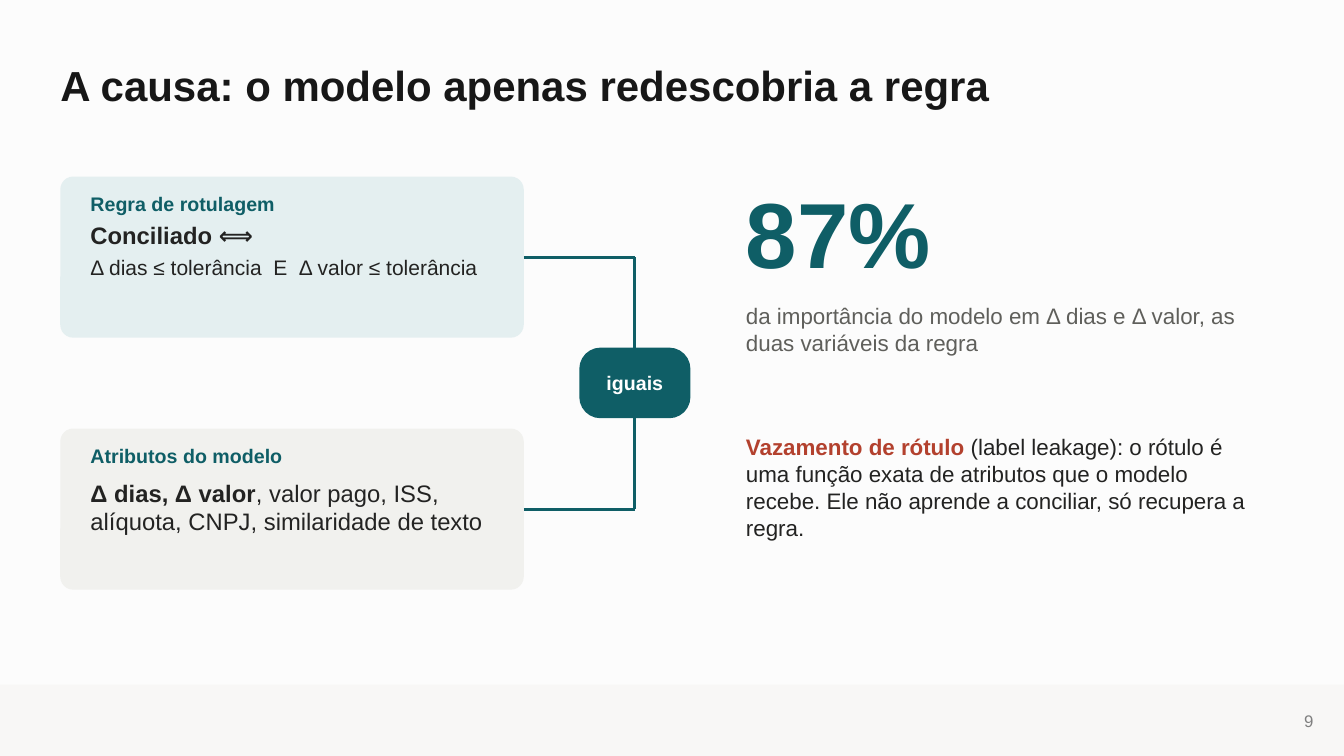
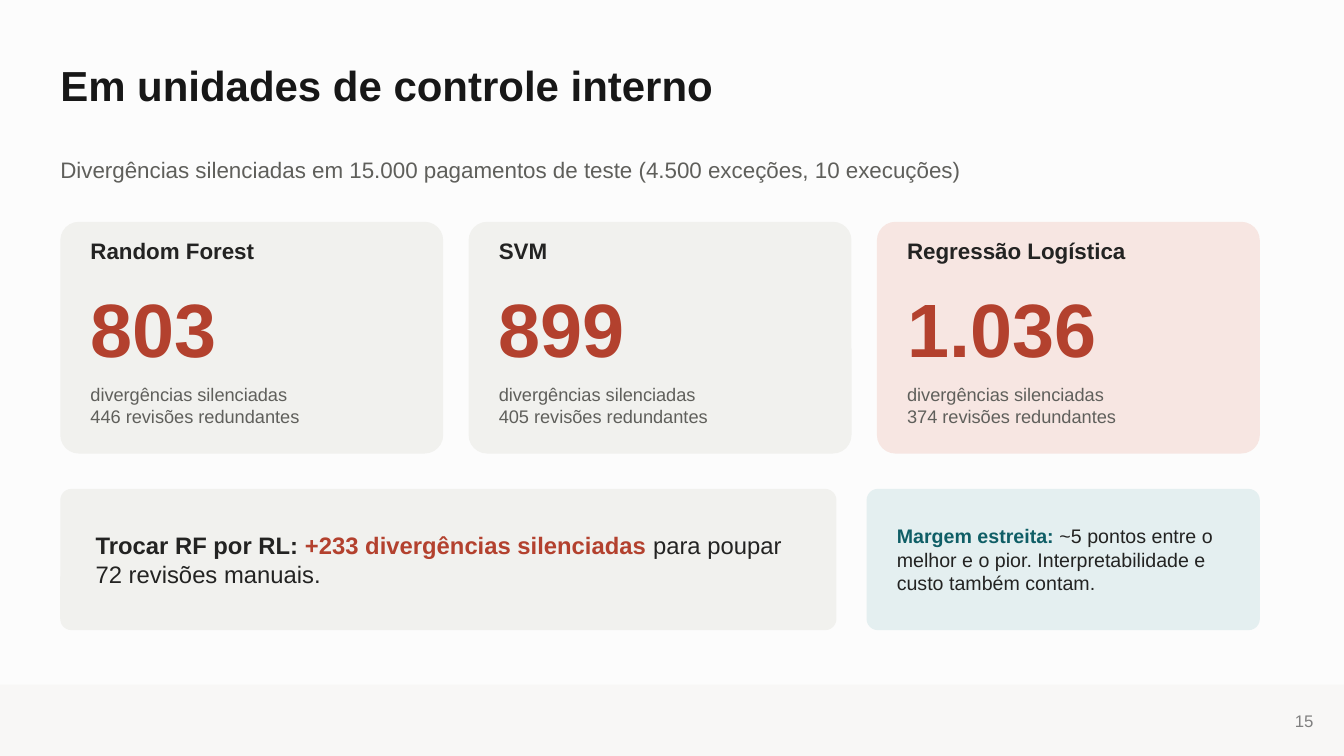
from dataclasses import dataclass

from lxml import etree
from pptx import Presentation
from pptx import util as u
from pptx.dml.color import RGBColor
from pptx.enum import shapes, text
from pptx.oxml.ns import qn

FONT = "Arial"
COLORS = {
    "background": "FCFCFC", "band": "F8F7F6", "title": "171717",
    "ink": "232322", "muted": "5F5F5B", "number": "808080",
    "teal": "0F5E66", "red": "B3412E", "white": "FFFFFF",
    "pale_teal": "E4EFF0", "pale_gray": "F1F1EE", "pale_red": "F7E6E2",
}
WIDTH, HEIGHT = 33.87, 19.05
MARGIN = 1.52
PAD_X, PAD_Y = 0.76, 0.38
TOP, MIDDLE = text.MSO_ANCHOR.TOP, text.MSO_ANCHOR.MIDDLE
LEFT, CENTER, RIGHT = text.PP_ALIGN.LEFT, text.PP_ALIGN.CENTER, text.PP_ALIGN.RIGHT


@dataclass(frozen=True)
class Box:
    """A rectangle in centimetres."""
    left: float
    top: float
    width: float
    height: float

    @property
    def right(self) -> float:
        return self.left + self.width

    @property
    def center_x(self) -> float:
        return self.left + self.width / 2

    @property
    def center_y(self) -> float:
        return self.top + self.height / 2

    def lengths(self) -> tuple:
        return tuple(u.Cm(v) for v in (self.left, self.top, self.width, self.height))


@dataclass(frozen=True)
class Span:
    text: str
    size: float
    color: str = "ink"
    bold: bool = False


@dataclass(frozen=True)
class ModelCard:
    name: str
    missed: str
    reviews: str
    fill: str


# Shared drawing functions
def rgb(name: str) -> RGBColor:
    return RGBColor.from_string(COLORS[name])


def style_run(run, span: Span) -> None:
    run.font.name = FONT
    run.font.size = u.Pt(span.size)
    run.font.bold = span.bold
    run.font.color.rgb = rgb(span.color)


def add_text(slide, box: Box, paragraphs: list[list[Span]], anchor=TOP,
             align=LEFT, space_after: float = 0) -> None:
    frame = slide.shapes.add_textbox(*box.lengths()).text_frame
    frame.word_wrap = True
    frame.vertical_anchor = anchor
    frame.margin_left = frame.margin_right = 0
    frame.margin_top = frame.margin_bottom = 0
    for index, spans in enumerate(paragraphs):
        para = frame.add_paragraph() if index else frame.paragraphs[0]
        para.alignment = align
        para.space_after = u.Pt(space_after)
        for span in spans:
            run = para.add_run()
            run.text = span.text
            style_run(run, span)


def add_panel(slide, box: Box, fill: str, radius: float = 0.08):
    kind = shapes.MSO_SHAPE.ROUNDED_RECTANGLE if radius else shapes.MSO_SHAPE.RECTANGLE
    panel = slide.shapes.add_shape(kind, *box.lengths())
    if radius:
        panel.adjustments[0] = radius
    panel.shadow.inherit = False
    panel.fill.solid()
    panel.fill.fore_color.rgb = rgb(fill)
    panel.line.fill.background()
    return panel


def add_line(slide, x1: float, y1: float, x2: float, y2: float) -> None:
    line = slide.shapes.add_connector(
        shapes.MSO_CONNECTOR.STRAIGHT, u.Cm(x1), u.Cm(y1), u.Cm(x2), u.Cm(y2))
    line.line.color.rgb = rgb("teal")
    line.line.width = u.Pt(2)
    etree.SubElement(line.element.spPr, qn("a:effectLst"))


def add_page(deck, layout, title: str, number: int):
    slide = deck.slides.add_slide(layout)
    holder = slide.shapes.title
    holder.left, holder.top, holder.width, holder.height = Box(
        MARGIN, 1.27, 30.73, 1.91).lengths()
    frame = holder.text_frame
    frame.text = title
    frame.word_wrap = True
    frame.auto_size = text.MSO_AUTO_SIZE.NONE
    frame.vertical_anchor = MIDDLE
    frame.margin_left = 0
    para = frame.paragraphs[0]
    para.alignment = LEFT
    para.line_spacing = 0.9
    style_run(para.runs[0], Span(title, 30, "title", True))
    add_text(slide, Box(25.73, 17.65, 7.37, 1.02),
             [[Span(str(number), 12, "number")]], MIDDLE, RIGHT)
    return slide


def move_band_to_layout(slide, layout) -> None:
    """Draw the footer band once and let every page inherit it."""
    band = add_panel(slide, Box(0, 17.25, WIDTH, HEIGHT - 17.25), "band", radius=0)
    layout.shapes.element.insert(2, band.element)


# Page: cause of the leakage
def fill_cause_page(slide) -> None:
    rule = Box(MARGIN, 4.45, 11.68, 4.06)
    features = Box(MARGIN, 10.8, 11.68, 4.06)
    cards = [
        (rule, "pale_teal", 4, [
            [Span("Regra de rotulagem", 14, "teal", True)],
            [Span("Conciliado ⟺", 17, bold=True)],
            [Span("Δ dias ≤ tolerância  E  Δ valor ≤ tolerância", 15)]]),
        (features, "pale_gray", 8, [
            [Span("Atributos do modelo", 14, "teal", True)],
            [Span("Δ dias, Δ valor", 17, bold=True),
             Span(", valor pago, ISS, alíquota, CNPJ, similaridade de texto", 17)]]),
    ]
    for box, fill, gap, paragraphs in cards:
        add_panel(slide, box, fill)
        add_text(slide, Box(box.left + PAD_X, box.top + PAD_Y, 10.41, 3.56),
                 paragraphs, space_after=gap)

    # Bracket joining both cards
    badge = Box(14.6, 8.76, 2.8, 1.78)
    for box in (rule, features):
        add_line(slide, box.right, box.center_y, badge.center_x, box.center_y)
    add_line(slide, badge.center_x, rule.center_y, badge.center_x, features.center_y)
    add_panel(slide, badge, "teal", 0.3)
    add_text(slide, badge, [[Span("iguais", 14, "white", True)]], MIDDLE, CENTER)

    # Key figure and explanation
    column = 18.8
    add_text(slide, Box(column, 4.45, 13.21, 3.05), [[Span("87%", 66, "teal", True)]])
    add_text(slide, Box(column, 7.62, 12.7, 2.29), [[Span(
        "da importância do modelo em Δ dias e Δ valor, as duas variáveis da regra",
        16, "muted")]])
    add_text(slide, Box(column, 10.92, 12.95, 4.57), [[
        Span("Vazamento de rótulo", 16, "red", True),
        Span(" (label leakage): o rótulo é uma função exata de atributos que o modelo "
             "recebe. Ele não aprende a conciliar, só recupera a regra.", 16)]])


# Page: results in control units
def add_model_card(slide, box: Box, card: ModelCard) -> None:
    add_panel(slide, box, card.fill)
    left = box.left + PAD_X
    add_text(slide, Box(left, box.top + PAD_Y, 8.13, 1.02),
             [[Span(card.name, 16, bold=True)]])
    add_text(slide, Box(left, box.top + 1.52, 8.13, 2.54),
             [[Span(card.missed, 54, "red", True)]])
    add_text(slide, Box(left, box.top + 4.06, 8.38, 1.52),
             [[Span("divergências silenciadas", 13, "muted")],
              [Span(f"{card.reviews} revisões redundantes", 13, "muted")]])


def fill_control_page(slide) -> None:
    add_text(slide, Box(MARGIN, 3.94, 30.48, 1.27), [[Span(
        "Divergências silenciadas em 15.000 pagamentos de teste "
        "(4.500 exceções, 10 execuções)", 16, "muted")]])

    cards = [
        ModelCard("Random Forest", "803", "446", "pale_gray"),
        ModelCard("SVM", "899", "405", "pale_gray"),
        ModelCard("Regressão Logística", "1.036", "374", "pale_red"),
    ]
    width, gap = 9.65, 0.64
    for index, card in enumerate(cards):
        left = MARGIN + index * (width + gap)
        add_model_card(slide, Box(left, 5.59, width, 5.84), card)

    # Conclusions
    notes = [
        (Box(MARGIN, 12.32, 19.56, 3.56), "pale_gray", 0.89, 18.03, [
            Span("Trocar RF por RL: ", 17, bold=True),
            Span("+233 divergências silenciadas", 17, "red", True),
            Span(" para poupar 72 revisões manuais.", 17)]),
        (Box(21.84, 12.32, 9.91, 3.56), "pale_teal", PAD_X, 8.64, [
            Span("Margem estreita: ", 14, "teal", True),
            Span("~5 pontos entre o melhor e o pior. Interpretabilidade e custo "
                 "também contam.", 14)]),
    ]
    for box, fill, pad, text_width, spans in notes:
        add_panel(slide, box, fill)
        add_text(slide, Box(box.left + pad, box.top, text_width, box.height),
                 [spans], MIDDLE)


def main() -> None:
    deck = Presentation()
    deck.slide_width, deck.slide_height = u.Cm(WIDTH), u.Cm(HEIGHT)
    background = deck.slide_master.background.fill
    background.solid()
    background.fore_color.rgb = rgb("background")
    layout = deck.slide_layouts.get_by_name("Title Only")

    cause = add_page(deck, layout, "A causa: o modelo apenas redescobria a regra", 9)
    move_band_to_layout(cause, layout)
    fill_cause_page(cause)
    fill_control_page(add_page(deck, layout, "Em unidades de controle interno", 15))
    deck.save("out.pptx")


if __name__ == "__main__":
    main()
